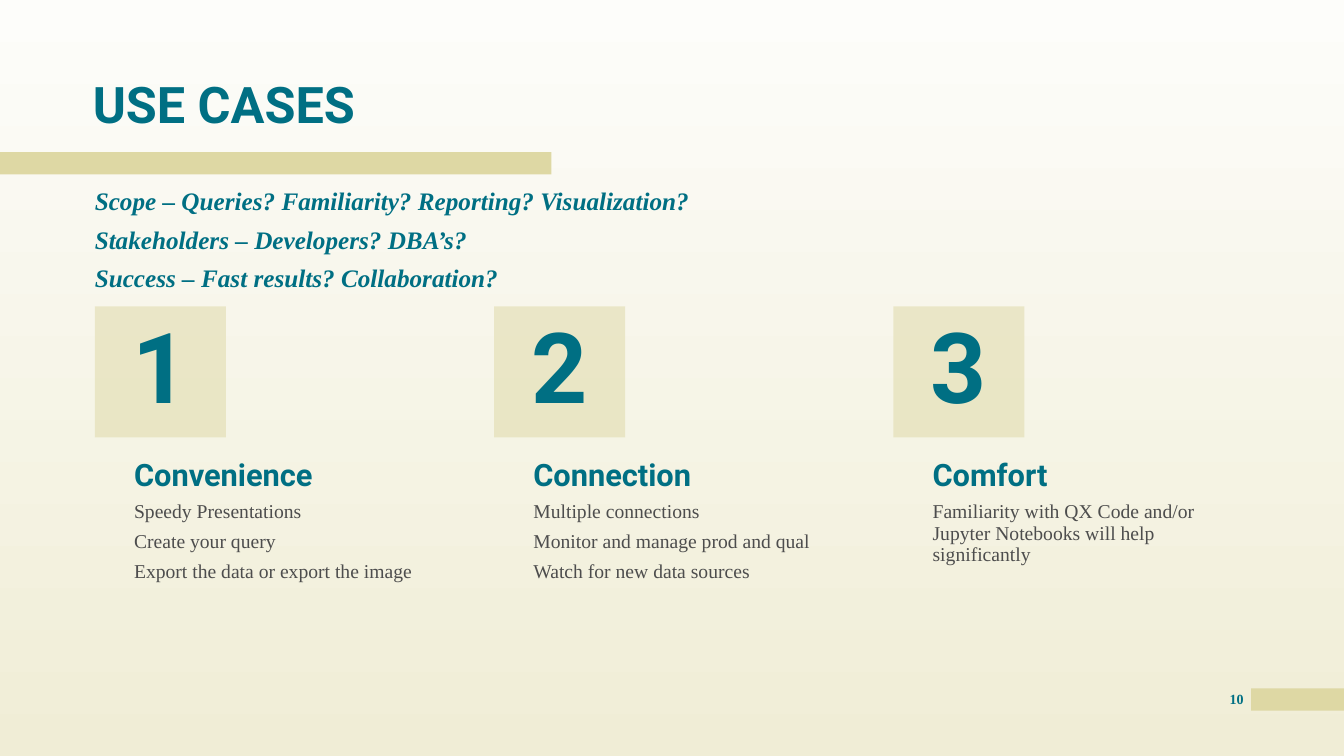
from pptx import Presentation, util as u
from pptx.dml.color import RGBColor
from pptx.enum import shapes, text
from pptx.oxml import parse_xml
from pptx.oxml.ns import nsdecls

COLORS = {
    "teal": "006F83",
    "sand": "DED8A4",
    "body": "4D4D4D",
    "top": "FDFDFA",
    "bottom": "F0EDD6",
}
HEADING, SERIF = "Roboto", "Times New Roman"
WIDTH, HEIGHT = 13.33, 7.5
MARGIN, COLUMN_STEP, INDENT = 0.94, 3.96, 0.39
SQUARE, COLUMN_WIDTH = 1.3, 3.2
LEFT, CENTER = text.PP_ALIGN.LEFT, text.PP_ALIGN.CENTER
TOP, MIDDLE, BOTTOM = text.MSO_ANCHOR.TOP, text.MSO_ANCHOR.MIDDLE, text.MSO_ANCHOR.BOTTOM


def write(shape, lines, font, size, color="teal", bold=True, italic=False,
          anchor=TOP, align=LEFT, spacing=0.9, before=0):
    """Fill a shape with one paragraph per line; 'before' separates paragraphs."""
    frame = shape.text_frame
    frame.text = "\n".join(lines)
    frame.word_wrap = True
    frame.auto_size = text.MSO_AUTO_SIZE.NONE
    frame.vertical_anchor = anchor
    frame.margin_left = frame.margin_right = frame.margin_top = frame.margin_bottom = 0
    for index, paragraph in enumerate(frame.paragraphs):
        paragraph.alignment = align
        paragraph.line_spacing = spacing
        paragraph.space_before = u.Pt(before if index else 0)
        paragraph.font.name = font
        paragraph.font.size = u.Pt(size)
        paragraph.font.bold = bold
        paragraph.font.italic = italic
        paragraph.font.color.rgb = RGBColor.from_string(COLORS[color])


def add_block(left, top, width, height, opacity=100):
    """Add a sand-coloured rectangle, opacity in percent."""
    block = slide.shapes.add_shape(
        shapes.MSO_SHAPE.RECTANGLE, *map(u.Inches, (left, top, width, height)))
    block.shadow.inherit = False
    block.line.fill.background()
    block.fill.solid()
    block.fill.fore_color.rgb = RGBColor.from_string(COLORS["sand"])
    if opacity < 100:
        color = block.fill._xPr.solidFill.find(".//{*}srgbClr")
        color.append(parse_xml(f'<a:alpha {nsdecls("a")} val="{opacity * 1000}"/>'))
    return block


presentation = Presentation()
presentation.slide_width = u.Inches(WIDTH)
presentation.slide_height = u.Inches(HEIGHT)
slide = presentation.slides.add_slide(presentation.slide_layouts[5])

background = slide.background.fill
background.gradient()
background.gradient_angle = 270
for stop, name in zip(background.gradient_stops, ("top", "bottom")):
    stop.color.rgb = RGBColor.from_string(COLORS[name])

# Accent bars and title
add_block(WIDTH - 0.92, 6.83, 0.92, 0.22)
add_block(0, 1.51, 5.47, 0.22)
title = slide.shapes.title
title.left, title.top, title.width, title.height = map(u.Inches, (0.92, 0.68, 8.53, 0.65))
write(title, ["USE CASES"], HEADING, 36, anchor=BOTTOM)

# Guiding questions
questions = slide.shapes.add_textbox(*map(u.Inches, (MARGIN, 1.9, 8.53, 1.03)))
write(questions, [
    "Scope – Queries? Familiarity? Reporting? Visualization?",
    "Stakeholders – Developers? DBA’s?",
    "Success – Fast results? Collaboration?",
], SERIF, 18, italic=True, spacing=0.8, before=10)

# Numbered columns
use_cases = [
    ("Convenience", ["Speedy Presentations", "Create your query",
                     "Export the data or export the image"]),
    ("Connection", ["Multiple connections", "Monitor and manage prod and qual",
                    "Watch for new data sources"]),
    ("Comfort", ["Familiarity with QX Code and/or Jupyter Notebooks will help significantly"]),
]
for index, (heading, details) in enumerate(use_cases):
    left = MARGIN + index * COLUMN_STEP
    square = add_block(left, 3.04, SQUARE, SQUARE, opacity=50)
    write(square, [str(index + 1)], HEADING, 70, anchor=MIDDLE, align=CENTER)
    heading_box = slide.shapes.add_textbox(
        *map(u.Inches, (left + INDENT, 4.38, COLUMN_WIDTH, 0.51)))
    write(heading_box, [heading], HEADING, 22, anchor=BOTTOM)
    detail_box = slide.shapes.add_textbox(
        *map(u.Inches, (left + INDENT, 4.98, COLUMN_WIDTH, 1.24)))
    write(detail_box, details, SERIF, 14, "body", bold=False, before=6)

# Slide number
number = slide.shapes.add_textbox(*map(u.Inches, (12.12, 6.85, 0.29, 0.25)))
write(number, ["10"], SERIF, 10, align=CENTER, spacing=1.0)

presentation.save("out.pptx")
